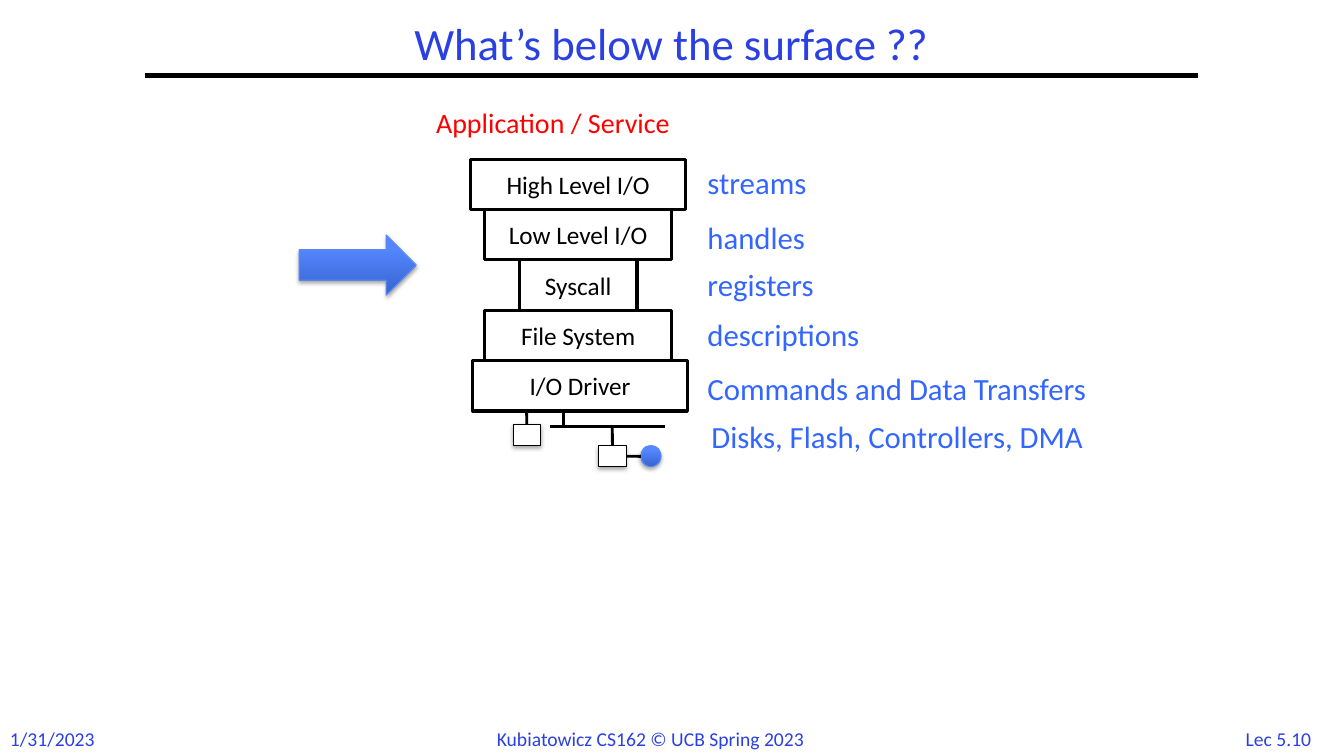
"""Build the slide showing the layers of the I/O stack below an application."""
from lxml import etree
from pptx import Presentation
from pptx.dml.color import RGBColor
from pptx.enum.shapes import MSO_CONNECTOR, MSO_SHAPE
from pptx.enum.text import MSO_ANCHOR, PP_ALIGN
from pptx.oxml.ns import qn
from pptx.util import Cm, Pt

STRAIGHT = MSO_CONNECTOR.STRAIGHT
RECT, OVAL, ARROW = MSO_SHAPE.RECTANGLE, MSO_SHAPE.OVAL, MSO_SHAPE.RIGHT_ARROW
LEFT, CENTER = PP_ALIGN.LEFT, PP_ALIGN.CENTER
MIDDLE = MSO_ANCHOR.MIDDLE
FONT = "Calibri"
BLACK = RGBColor(0x00, 0x00, 0x00)
WHITE = RGBColor(0xFF, 0xFF, 0xFF)
RED = RGBColor(0xFF, 0x00, 0x00)
TITLE_BLUE = RGBColor(0x2A, 0x40, 0xE2)
LABEL_BLUE = RGBColor(0x33, 0x66, 0xFF)
DARK_BLUE = RGBColor(0x37, 0x64, 0xCE)
LIGHT_BLUE = RGBColor(0x54, 0x87, 0xFF)
EDGE_BLUE = RGBColor(0x5B, 0x8A, 0xFB)


def write(sp, text, size, color, align):
    tf = sp.text_frame
    tf.word_wrap = True
    tf.text = text
    p = tf.paragraphs[0]
    p.alignment = align
    font = p.runs[0].font
    font.name, font.size, font.color.rgb = FONT, Pt(size), color


def add_line(x1, y1, x2, y2, width):
    line = slide.shapes.add_connector(STRAIGHT, Cm(x1), Cm(y1), Cm(x2), Cm(y2))
    line.line.color.rgb = BLACK
    line.line.width = Pt(width)
    etree.SubElement(line._element.spPr, qn("a:effectLst"))
    return line


prs = Presentation()
prs.slide_width, prs.slide_height = Cm(33.87), Cm(19.05)
slide = prs.slides.add_slide(prs.slide_layouts[5])

title = slide.shapes.title
title.left, title.top, title.width, title.height = Cm(3.66), Cm(0.43), Cm(26.52), Cm(1.47)
write(title, "What’s below the surface ??", 32, TITLE_BLUE, CENTER)
title.text_frame.vertical_anchor = MIDDLE
title.text_frame.paragraphs[0].line_spacing = 0.9
add_line(3.66, 1.9, 30.2, 1.9, 3)

texts = [
    ("1/31/2023", 0, 18.19, 2.72, 14, TITLE_BLUE, LEFT),
    ("Kubiatowicz CS162 © UCB Spring 2023", 12.27, 18.19, 9.35, 14, TITLE_BLUE, LEFT),
    ("Lec 5.10", 30.99, 18.19, 2.46, 14, TITLE_BLUE, CENTER),
    ("Application / Service", 10.74, 2.54, 6.96, 20, RED, LEFT),
    ("streams", 17.58, 4.01, 11.43, 22, LABEL_BLUE, LEFT),
    ("handles", 17.58, 5.38, 11.43, 22, LABEL_BLUE, LEFT),
    ("registers", 17.58, 6.58, 11.43, 22, LABEL_BLUE, LEFT),
    ("descriptions", 17.58, 7.82, 11.43, 22, LABEL_BLUE, LEFT),
    ("Commands and Data Transfers", 17.58, 9.19, 11.43, 22, LABEL_BLUE, LEFT),
    ("Disks, Flash, Controllers, DMA", 17.68, 10.39, 11.43, 22, LABEL_BLUE, LEFT),
]
for text, x, y, w, size, color, align in texts:
    height = 0.86 if size == 14 else 1.15
    sp = slide.shapes.add_textbox(Cm(x), Cm(y), Cm(w), Cm(height))
    write(sp, text, size, color, align)

devices = []
for kind, x, y, w, h in [
    (ARROW, 7.54, 5.92, 2.95, 1.52),
    (RECT, 12.93, 10.69, 0.69, 0.53),
    (RECT, 15.09, 11.23, 0.69, 0.53),
    (OVAL, 16.15, 11.23, 0.51, 0.53),
]:
    sp = slide.shapes.add_shape(kind, Cm(x), Cm(y), Cm(w), Cm(h))
    sp.line.width = Pt(0.75)
    if kind == RECT:
        sp.fill.solid()
        sp.fill.fore_color.rgb = WHITE
        sp.line.color.rgb = BLACK
    else:
        sp.fill.gradient()
        sp.fill.gradient_angle = 90
        bottom, top = sp.fill.gradient_stops
        bottom.position, bottom.color.rgb = 0, DARK_BLUE
        top.position, top.color.rgb = 0.8, LIGHT_BLUE
        sp.line.color.rgb = EDGE_BLUE
    sp.shadow.inherit = False
    effects = sp._element.spPr.find(qn("a:effectLst"))
    shadow = etree.SubElement(effects, qn("a:outerShdw"), blurRad="39370",
                              dist="22860", dir="5400000", rotWithShape="0")
    shade = etree.SubElement(shadow, qn("a:srgbClr"), val="000000")
    etree.SubElement(shade, qn("a:alpha"), val="35000")
    devices.append(sp)
arrow, disk, controller, port = devices

add_line(13.87, 10.74, 16.76, 10.74, 2)
add_line(14.2, 10.24, 14.2, 10.74, 2)
add_line(13.27, 10.19, 13.27, 10.69, 2).end_connect(disk, 0)
add_line(15.43, 10.74, 15.43, 11.23, 2).end_connect(controller, 0)
add_line(15.78, 11.5, 16.15, 11.5, 2).begin_connect(controller, 3)

layers = [
    ("High Level I/O", 14.57, 5.41),
    ("Low Level I/O", 14.57, 4.7),
    ("Syscall", 14.57, 2.97),
    ("File System", 14.57, 4.7),
    ("I/O Driver", 14.62, 5.41),
]
for i, (name, center, w) in reversed(list(enumerate(layers))):
    sp = slide.shapes.add_shape(RECT, Cm(center - w / 2), Cm(4.01 + 1.27 * i), Cm(w), Cm(1.27))
    sp.shadow.inherit = False
    sp.fill.solid()
    sp.fill.fore_color.rgb = WHITE
    sp.line.color.rgb = BLACK
    sp.line.width = Pt(2.25)
    write(sp, name, 18, BLACK, CENTER)
    sp.text_frame.vertical_anchor = MIDDLE

prs.save("out.pptx")
